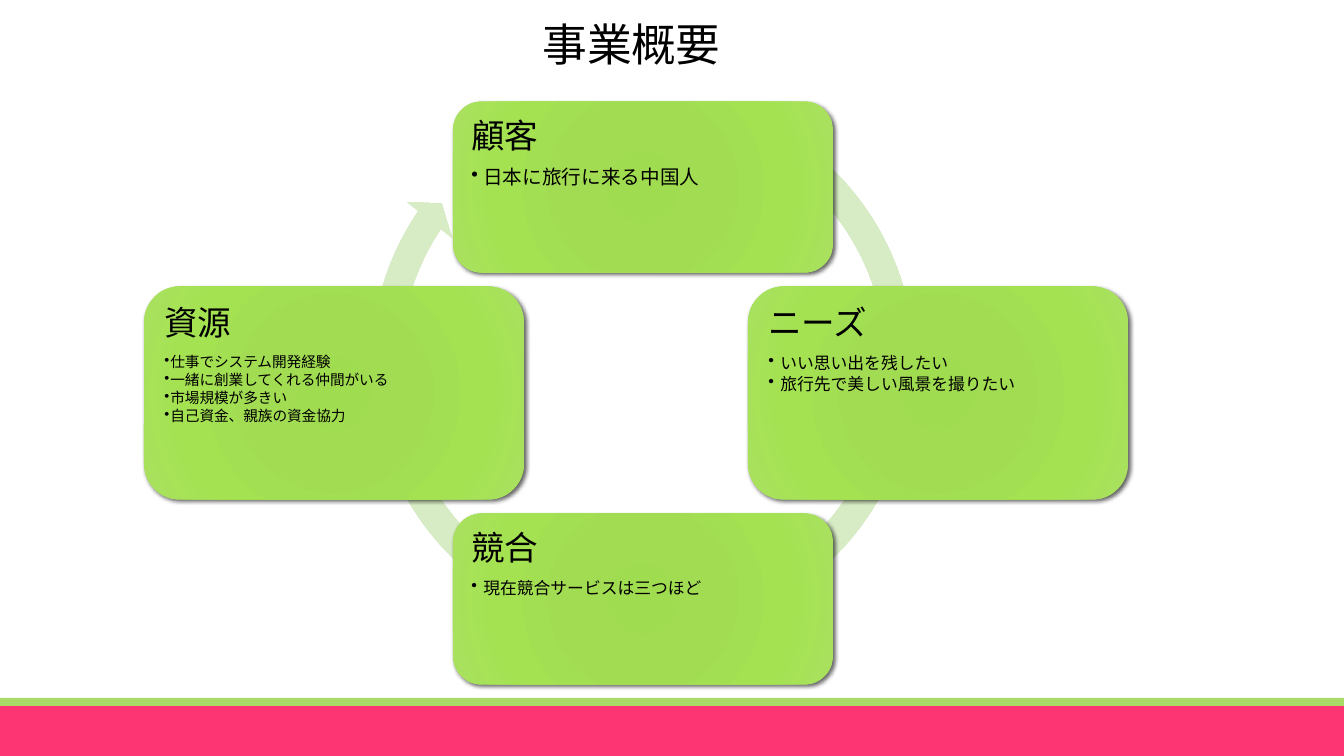
"""Build the business overview slide: four cards joined by a circular arrow."""
from lxml import etree
from pptx import Presentation, util as u
from pptx.dml.color import RGBColor
from pptx.enum import shapes, text
from pptx.oxml import ns

TITLE = "事業概要"
CARDS = [
    ("顧客", ["日本に旅行に来る中国人"], 14, 12, (643, 187), 171),
    ("ニーズ", ["いい思い出を残したい", "旅行先で美しい風景を撮りたい"], 12, 12, (938, 393), 213),
    ("競合", ["現在競合サービスは三つほど"], 12, 12, (643, 599), 171),
    ("資源", ["仕事でシステム開発経験", "一緒に創業してくれる仲間がいる",
            "市場規模が多きい", "自己資金、親族の資金協力"], 10.5, 6, (334, 393), 213),
]
BLACK = RGBColor(0x00, 0x00, 0x00)
PINK = RGBColor(0xFD, 0x35, 0x73)
LIME = RGBColor(0xA9, 0xDB, 0x66)
CARD_STOPS = [(0, "A0DC4F"), (34, "A1DC52"), (70, "A4E251"), (100, "AAE160")]
ARROW_STOPS = [(0, "D2E5C1"), (34, "D4E7C3"), (70, "D7EBC5"), (100, "E2F3D2")]
ARROW_ADJUST = [0.05, 2.73, 128.41, 180.24, 0.05]
FONT = "Noto Sans CJK JP"
WIDTH, HEIGHT = 1344, 756
CARD_W, INSET = 380, 10


def px(n):
    return u.Emu(round(n * 12192000 / WIDTH))


def box(*edges):
    return [px(n) for n in edges]


def sub(parent, tag, **attrs):
    el = etree.SubElement(parent, ns.qn(tag))
    for name, value in attrs.items():
        el.set(name, str(value))
    return el


def add_shape(kind, *edges):
    sp = s.shapes.add_shape(kind, *box(*edges))
    sp.shadow.inherit = False
    sp.line.fill.background()
    return sp


def radial(sp, stops):
    sp.fill.gradient()
    grad = sp._element.spPr.find(ns.qn("a:gradFill"))
    for child in list(grad):
        grad.remove(child)
    gs_list = sub(grad, "a:gsLst")
    for pos, color in stops:
        sub(sub(gs_list, "a:gs", pos=pos * 1000), "a:srgbClr", val=color)
    path = sub(grad, "a:path")
    path.set("path", "circle")
    sub(path, "a:fillToRect", l=50000, t=50000, r=50000, b=50000)


def drop_shadow(sp):
    effects = sp._element.spPr.find(ns.qn("a:effectLst"))
    shadow = sub(effects, "a:outerShdw", blurRad=u.Pt(3), dist=u.Pt(2),
                 dir=45 * 60000, algn="ctr", rotWithShape=0)
    sub(sub(shadow, "a:srgbClr", val="000000"), "a:alpha", val=60000)


def style(p, size, font, spacing, after=0):
    p.alignment = text.PP_ALIGN.LEFT
    p.line_spacing = spacing
    p.space_after = u.Pt(size * after)
    for r in p.runs:
        r.font.size, r.font.name = u.Pt(size), font
        r.font.color.rgb = BLACK
        sub(r._r.get_or_add_rPr(), "a:ea", typeface=FONT)


def bullet(p, indent):
    pPr = p._p.get_or_add_pPr()
    pPr.set("marL", str(px(indent)))
    pPr.set("indent", str(-px(indent)))
    sub(pPr, "a:buChar", char="•")


def add_card(heading, items, size, indent, center, h):
    x, y = center
    sp = add_shape(shapes.MSO_SHAPE.ROUNDED_RECTANGLE,
                   x - CARD_W / 2, y - h / 2, CARD_W, h)
    radial(sp, CARD_STOPS)
    drop_shadow(sp)
    tf = sp.text_frame
    tf.word_wrap = True
    tf.vertical_anchor = text.MSO_ANCHOR.TOP
    tf.margin_left = tf.margin_right = tf.margin_top = tf.margin_bottom = px(INSET)
    tf.text = "\n".join([heading] + items)
    style(tf.paragraphs[0], 24, FONT, 0.9, 0.35)
    for p in tf.paragraphs[1:]:
        style(p, size, FONT, 0.9, 0.15)
        bullet(p, indent)


prs = Presentation()
prs.slide_width, prs.slide_height = box(WIDTH, HEIGHT)
s = prs.slides.add_slide(prs.slide_layouts[6])

for top, h, color in [(706, 50, PINK), (698, 8, LIME)]:
    band = add_shape(shapes.MSO_SHAPE.RECTANGLE, 0, top, WIDTH, h)
    band.fill.solid()
    band.fill.fore_color.rgb = color

title = s.shapes.add_textbox(*box(533, 20, 252, 70))
title.text_frame.word_wrap = True
title.text_frame.text = TITLE
p = title.text_frame.paragraphs[0]
style(p, 32, "Calibri", 0.85)
p.runs[0]._r.get_or_add_rPr().set("spc", "-50")

arrow = add_shape(shapes.MSO_SHAPE.CIRCULAR_ARROW, 357, 78, 572, 572)
for i, value in enumerate(ARROW_ADJUST):
    arrow.adjustments[i] = value
radial(arrow, ARROW_STOPS)

for card in CARDS:
    add_card(*card)

prs.save("out.pptx")
